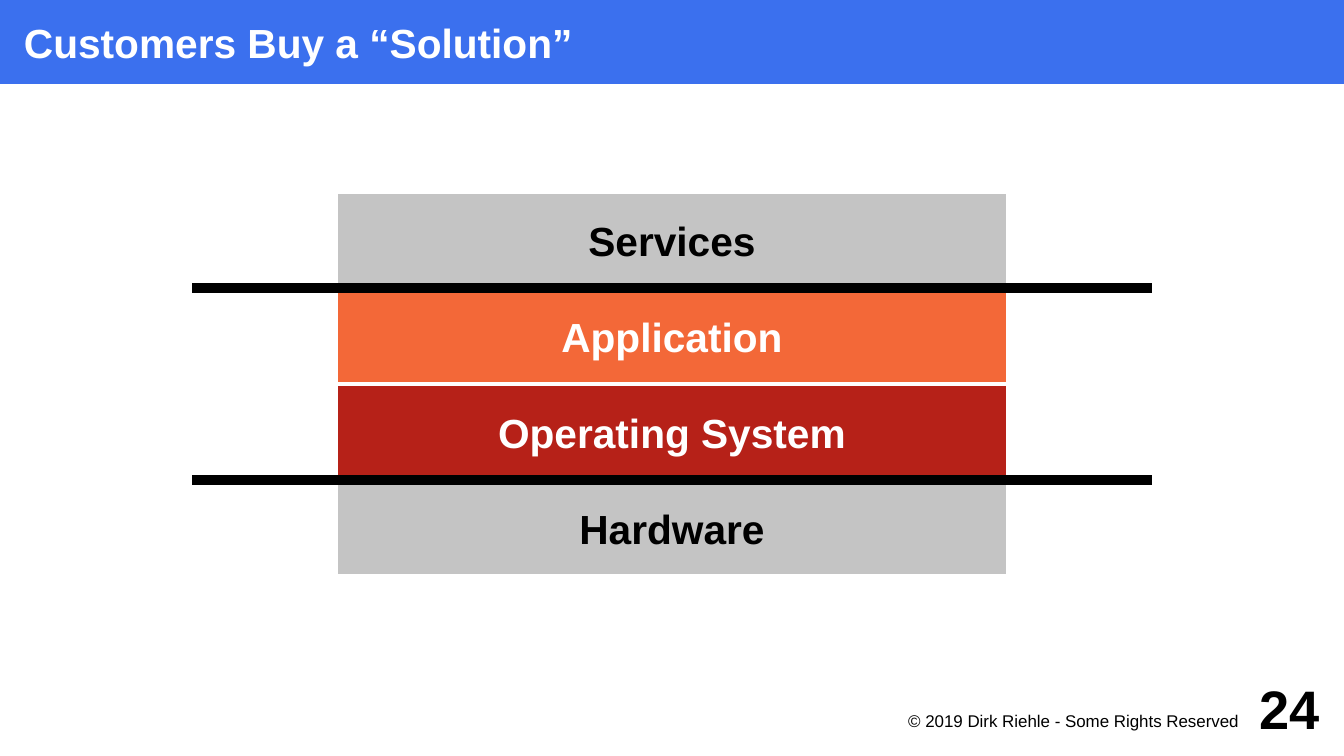
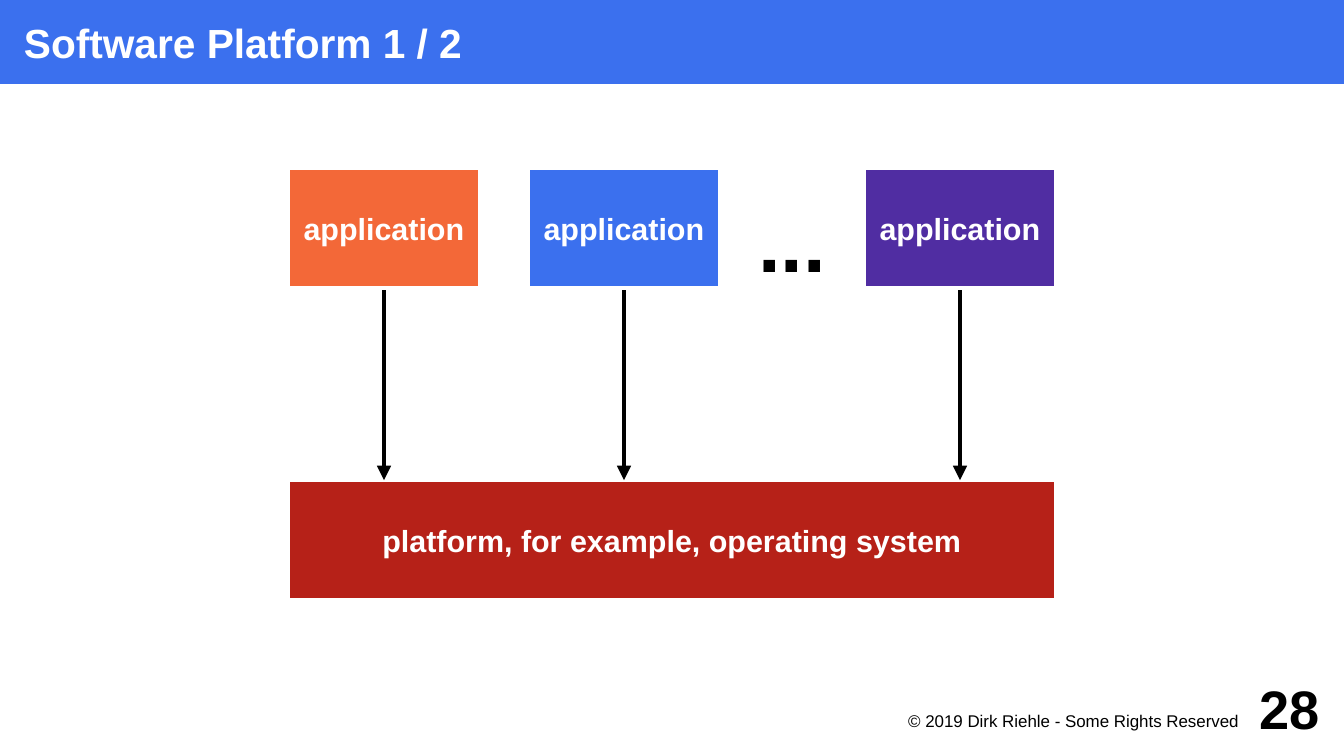
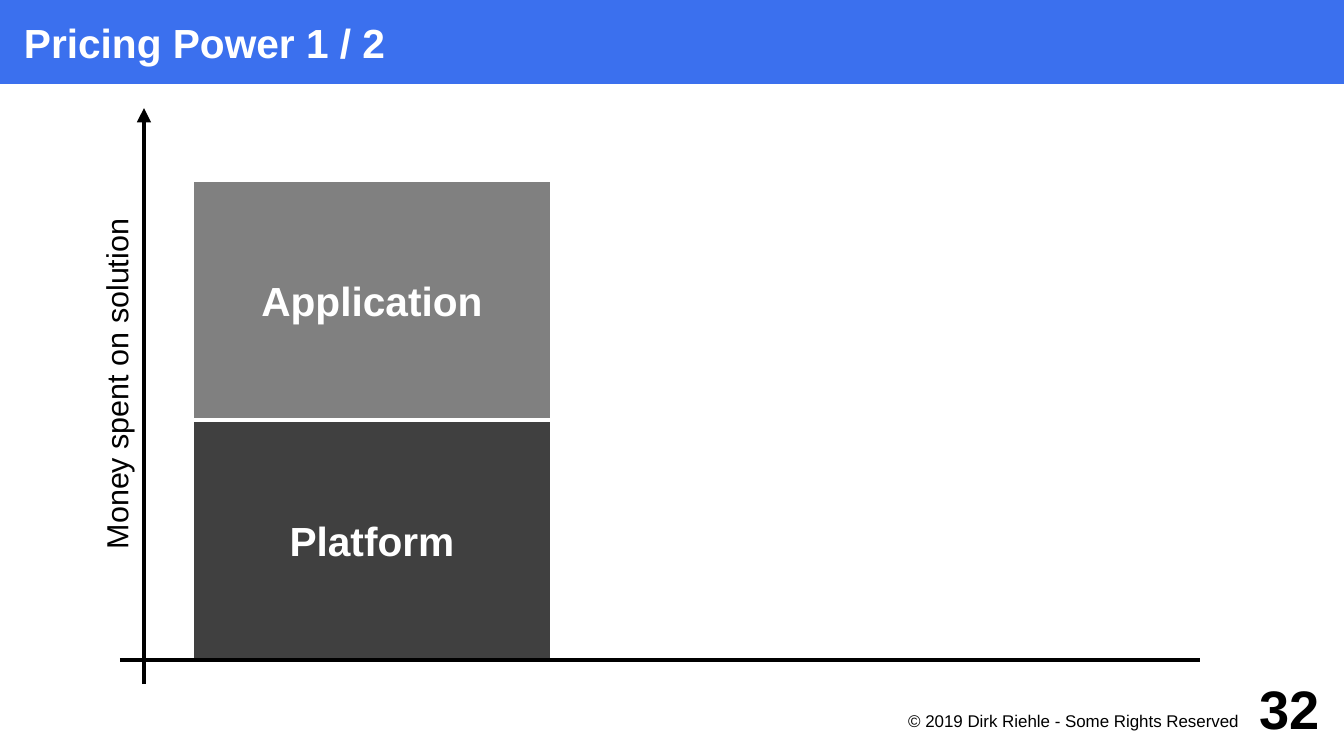
from dataclasses import dataclass

from lxml.etree import SubElement
from pptx import Presentation
from pptx.dml.color import RGBColor
from pptx.enum.shapes import MSO_CONNECTOR as Connector, MSO_SHAPE as Shape
from pptx.enum.text import MSO_ANCHOR as Anchor, PP_ALIGN as Align
from pptx.oxml.ns import qn
from pptx.util import Cm, Pt


@dataclass(frozen=True)
class Theme:
    font: str = "Arial"
    # Colours
    white: str = "FFFFFF"
    black: str = "000000"
    blue: str = "3B70EE"
    orange: str = "F36838"
    red: str = "B62118"
    purple: str = "502DA2"
    light: str = "C4C4C4"
    mid: str = "808080"
    dark: str = "404040"
    # Type sizes and line widths, in points
    title: int = 24
    label: int = 18
    footer: int = 10
    number: int = 32
    ellipsis: int = 48
    thin: float = 2.83
    thick: float = 5.67


THEME = Theme()

# The grid has square cells of one centimetre
COLUMNS, ROWS = 28, 15.75
BAND_ROWS = 1.75
NO_INSET = (0, 0, 0, 0)
WIDE_INSETS = (0.3, 0.18, 0.3, 0.18)
EVEN_INSETS = (0.2, 0.2, 0.2, 0.2)
FOOTER = "© 2019 Dirk Riehle - Some Rights Reserved"


# Kinds of element
def write(shape, text, size, color, bold=True, align=Align.CENTER,
          anchor=Anchor.MIDDLE, insets=EVEN_INSETS, wrap=True):
    frame = shape.text_frame
    frame.text = text
    frame.word_wrap = wrap
    frame.vertical_anchor = anchor
    (frame.margin_left, frame.margin_top,
     frame.margin_right, frame.margin_bottom) = map(Cm, insets)
    paragraph = frame.paragraphs[0]
    paragraph.alignment = align
    font = paragraph.runs[0].font
    font.name, font.size, font.bold = THEME.font, Pt(size), bold
    font.color.rgb = RGBColor.from_string(color)


def add_label(slide, area, text, size, **style):
    label = slide.shapes.add_textbox(*map(Cm, area))
    write(label, text, size, THEME.black, **style)
    return label


def add_block(slide, area, text, fill, size=THEME.title, color=THEME.white,
              outlined=True, **style):
    block = slide.shapes.add_shape(Shape.RECTANGLE, *map(Cm, area))
    block.shadow.inherit = False
    block.fill.solid()
    block.fill.fore_color.rgb = RGBColor.from_string(fill)
    if outlined:
        block.line.color.rgb = RGBColor.from_string(THEME.white)
        block.line.width = Pt(THEME.thin)
    else:
        block.line.fill.background()
    write(block, text, size, color, **style)
    return block


def add_line(slide, start, end, width=THEME.thin, arrow=False):
    line = slide.shapes.add_connector(Connector.STRAIGHT, *map(Cm, start + end))
    line.line.color.rgb = RGBColor.from_string(THEME.black)
    line.line.width = Pt(width)
    properties = line._element.spPr
    if arrow:
        SubElement(properties.find(qn("a:ln")), qn("a:tailEnd"), type="triangle")
    SubElement(properties, qn("a:effectLst"))
    return line


# Shared title band and footer
def add_page(deck, title, number):
    slide = deck.slides.add_slide(deck.slide_layouts[6])
    add_block(slide, (0, 0, COLUMNS, BAND_ROWS), title, THEME.blue,
              outlined=False, align=Align.LEFT, insets=(0.5, 0, 0, 0))
    add_label(slide, (18, 14.75, 8, 0.75), FOOTER, THEME.footer, bold=False,
              align=Align.RIGHT, anchor=Anchor.TOP, insets=(0, 0.05, 0.2, 0))
    add_label(slide, (25.5, 14, 2, 1.5), str(number), THEME.number,
              align=Align.RIGHT, insets=NO_INSET)
    return slide


# Slides
def add_solution(deck):
    slide = add_page(deck, "Customers Buy a “Solution”", 24)
    layers = [
        ("Services", THEME.light, THEME.black),
        ("Application", THEME.orange, THEME.white),
        ("Operating System", THEME.red, THEME.white),
        ("Hardware", THEME.light, THEME.black),
    ]
    top, height = 4, 2
    for index, (name, fill, color) in enumerate(layers):
        add_block(slide, (7, top + index * height, 14, height), name, fill,
                  color=color, insets=WIDE_INSETS, wrap=False)
    # Dividers set software apart from services and hardware
    for layers_above in (1, 3):
        row = top + layers_above * height
        add_line(slide, (4, row), (24, row), THEME.thick)


def add_platform(deck):
    slide = add_page(deck, "Software Platform 1 / 2", 28)
    left, top, width, height, platform_top = 6, 3.5, 4, 2.5, 10
    style = dict(size=THEME.label, wrap=False)
    add_label(slide, (15, top, 3, 3), "...", THEME.ellipsis)
    add_block(slide, (left, platform_top, 16, height),
              "platform, for example, operating system", THEME.red, **style)
    for column, fill in ((left, THEME.orange), (11, THEME.blue),
                         (18, THEME.purple)):
        application = add_block(slide, (column, top, width, height),
                                "application", fill, **style)
        center = column + width / 2
        arrow = add_line(slide, (center, top + height),
                         (center, platform_top), arrow=True)
        arrow.begin_connect(application, 2)
        # The white outline lies over the arrow's start
        application._element.addprevious(arrow._element)


def add_pricing(deck):
    slide = add_page(deck, "Pricing Power 1 / 2", 32)
    base, height = 13.75, 5
    for level, (name, fill) in enumerate((("Platform", THEME.dark),
                                          ("Application", THEME.mid)), 1):
        add_block(slide, (4, base - level * height, 7.5, height), name, fill,
                  insets=WIDE_INSETS, wrap=False)
    # Axes
    add_line(slide, (3, base + 0.5), (3, 2.25), arrow=True)
    add_line(slide, (2.5, base), (25, base))
    axis_title = add_label(slide, (-3.5, 7.25, 11.5, 1.5),
                           "Money spent on solution", THEME.label,
                           bold=False, anchor=Anchor.BOTTOM)
    axis_title.rotation = 270


def main():
    deck = Presentation()
    deck.slide_width, deck.slide_height = Cm(COLUMNS), Cm(ROWS)
    add_solution(deck)
    add_platform(deck)
    add_pricing(deck)
    deck.save("out.pptx")


if __name__ == "__main__":
    main()
